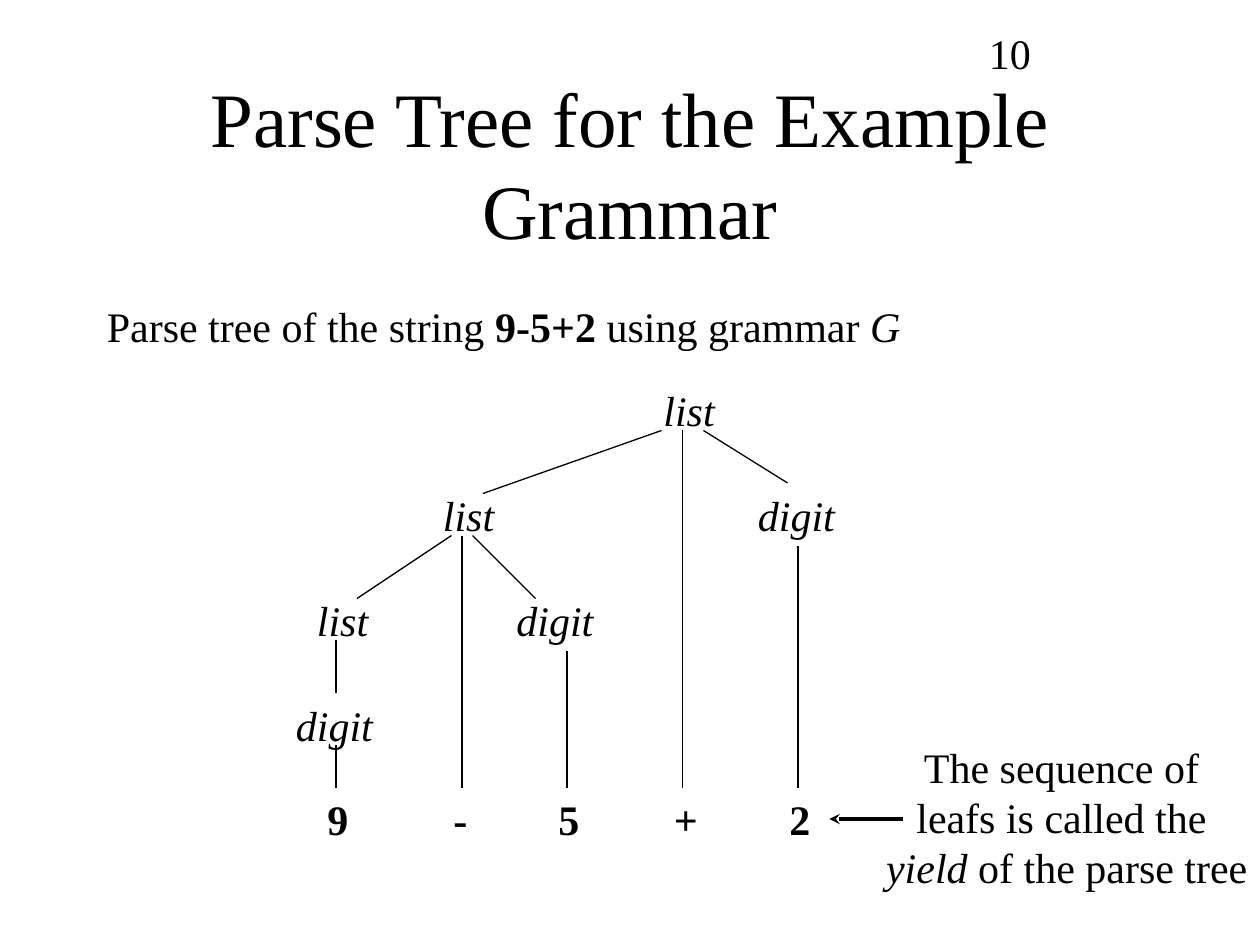
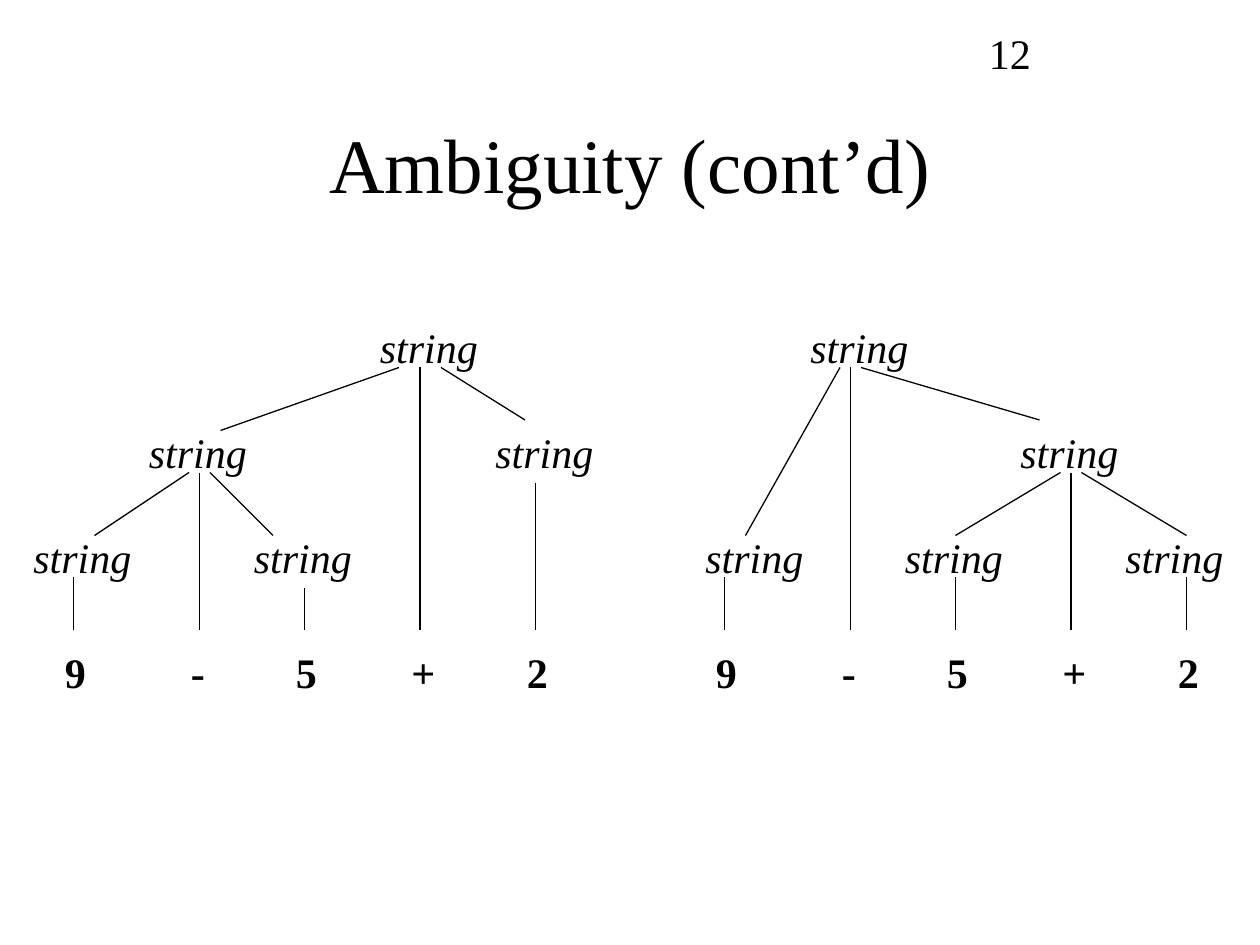
import pptx
import pptx.dml.color
import pptx.enum.shapes
import pptx.enum.text
import pptx.util
from pptx.oxml.ns import qn
from lxml import etree

# Shared style
COLOURS = {"ink": "000000"}
FONT = "Times New Roman"
TITLE_SIZE, TEXT_SIZE = 44, 24
CENTER = pptx.enum.text.PP_ALIGN.CENTER

# Positions are counted in grid steps, twelve to the inch
STEP = 2.54 / 12
SLIDE_SIZE = (120, 90)
TITLE_BOX = (9, 8, 102, 15)
NUMBER_BOX = (93, 2, 25, 5.9)
LABEL_HEIGHT = 6
LABEL_WIDTHS = {"list": 7.3, "digit": 9.7, "string": 11.8,
                "9": 4.3, "-": 3.7, "5": 4.3, "+": 4.7, "2": 4.3}

# Every tree ends in the same leaves, at the same offsets
LEAVES = [("9", 0), ("-", 12), ("5", 22), ("+", 33), ("2", 44)]
STEM_OFFSET = 2

# Nodes: label, left, top. Branches: x and y of both ends.
# Stem tops: where the line above each leaf begins.
LIST_TREE = {
    "nodes": [("list", 62, 36), ("list", 41, 46), ("digit", 71, 46),
              ("list", 29, 56), ("digit", 48, 56), ("digit", 27, 66)],
    "branches": [(63, 41, 46, 47), (67, 41, 75, 46), (43, 51, 34, 57),
                 (45, 51, 51, 57), (32, 61, 32, 66)],
    "leaf_left": 30, "leaf_top": 75,
    "stem_tops": [71, 51, 62, 41, 52], "stem_bottom": 75,
}
LEFT_GROUPED_TREE = {
    "nodes": [("string", 35, 30), ("string", 13, 40), ("string", 46, 40),
              ("string", 2, 50), ("string", 23, 50)],
    "branches": [(38, 35, 21, 41), (42, 35, 50, 40), (18, 45, 9, 51),
                 (20, 45, 26, 51)],
    "leaf_left": 5, "leaf_top": 61,
    "stem_tops": [55, 45, 56, 35, 46], "stem_bottom": 60,
}
RIGHT_GROUPED_TREE = {
    "nodes": [("string", 76, 30), ("string", 96, 40), ("string", 66, 50),
              ("string", 85, 50), ("string", 106, 50)],
    "branches": [(80, 35, 71, 51), (82, 35, 99, 40), (101, 45, 91, 51),
                 (103, 45, 113, 51)],
    "leaf_left": 67, "leaf_top": 61,
    "stem_tops": [55, 35, 55, 45, 55], "stem_bottom": 60,
}

# Runs: text, style ("b" bold, "i" italic, "" plain)
INTRO = [("Parse tree of the string ", ""), ("9-5+2", "b"),
         (" using grammar ", ""), ("G", "i")]
INTRO_BOX = (9, 28, 78, 6)
YIELD_NOTE = [("The sequence of\vleafs is called the\v ", ""),
              ("yield", "i"), (" of the parse tree", "")]
YIELD_BOX = (82.2, 70, 37.8, 15.6)
YIELD_ARROW = (86, 78, 79, 78)

SLIDES = [
    {"title": "Parse Tree for the Example Grammar", "number": "10",
     "trees": [LIST_TREE]},
    {"title": "Ambiguity (cont’d)", "number": "12",
     "trees": [LEFT_GROUPED_TREE, RIGHT_GROUPED_TREE]},
]


def on_grid(*steps):
    return [pptx.util.Cm(step * STEP) for step in steps]


def ink():
    return pptx.dml.color.RGBColor.from_string(COLOURS["ink"])


def add_text(slide, box, runs, size=TEXT_SIZE, align=None, wrap=False):
    shape = slide.shapes.add_textbox(*on_grid(*box))
    frame = shape.text_frame
    frame.word_wrap = wrap
    paragraph = frame.paragraphs[0]
    paragraph.alignment = align
    paragraph.font.name = FONT
    paragraph.font.size = pptx.util.Pt(size)
    paragraph.font.color.rgb = ink()
    for text, style in runs:
        # Line breaks belong to the paragraph, so split on them
        for index, part in enumerate(text.split("\v")):
            if index:
                paragraph.add_line_break()
            run = paragraph.add_run()
            run.text = part
            run.font.name = FONT
            run.font.size = pptx.util.Pt(size)
            run.font.bold = style == "b"
            run.font.italic = style == "i"
    return shape


def add_line(slide, ends, width=0.75, arrow=False):
    connector = slide.shapes.add_connector(
        pptx.enum.shapes.MSO_CONNECTOR.STRAIGHT, *on_grid(*ends))
    connector.line.color.rgb = ink()
    connector.line.width = pptx.util.Pt(width)
    if arrow:
        line = connector.line._get_or_add_ln()
        etree.SubElement(line, qn("a:tailEnd"), type="stealth")
    etree.SubElement(connector._element.spPr, qn("a:effectLst"))


def add_label(slide, label, left, top, style):
    add_text(slide, (left, top, LABEL_WIDTHS[label], LABEL_HEIGHT),
             [(label, style)])


def add_tree(slide, tree):
    for label, left, top in tree["nodes"]:
        add_label(slide, label, left, top, "i")
    for ends in tree["branches"]:
        add_line(slide, ends)
    for (label, offset), stem_top in zip(LEAVES, tree["stem_tops"]):
        left = tree["leaf_left"] + offset
        add_label(slide, label, left, tree["leaf_top"], "b")
        stem = left + STEM_OFFSET
        add_line(slide, (stem, stem_top, stem, tree["stem_bottom"]))


def add_slide(presentation, content):
    slide = presentation.slides.add_slide(presentation.slide_layouts[6])
    title = add_text(slide, TITLE_BOX, [(content["title"], "")],
                     TITLE_SIZE, CENTER, wrap=True)
    title.text_frame.vertical_anchor = pptx.enum.text.MSO_ANCHOR.MIDDLE
    for tree in content["trees"]:
        add_tree(slide, tree)
    add_text(slide, NUMBER_BOX, [(content["number"], "")], wrap=True)
    return slide


def main():
    presentation = pptx.Presentation()
    presentation.slide_width, presentation.slide_height = on_grid(*SLIDE_SIZE)
    parse_slide, _ = [add_slide(presentation, content) for content in SLIDES]

    # Remarks on the parse tree
    add_text(parse_slide, INTRO_BOX, INTRO)
    add_text(parse_slide, YIELD_BOX, YIELD_NOTE, align=CENTER)
    add_line(parse_slide, YIELD_ARROW, width=2, arrow=True)

    presentation.save("out.pptx")


if __name__ == "__main__":
    main()
